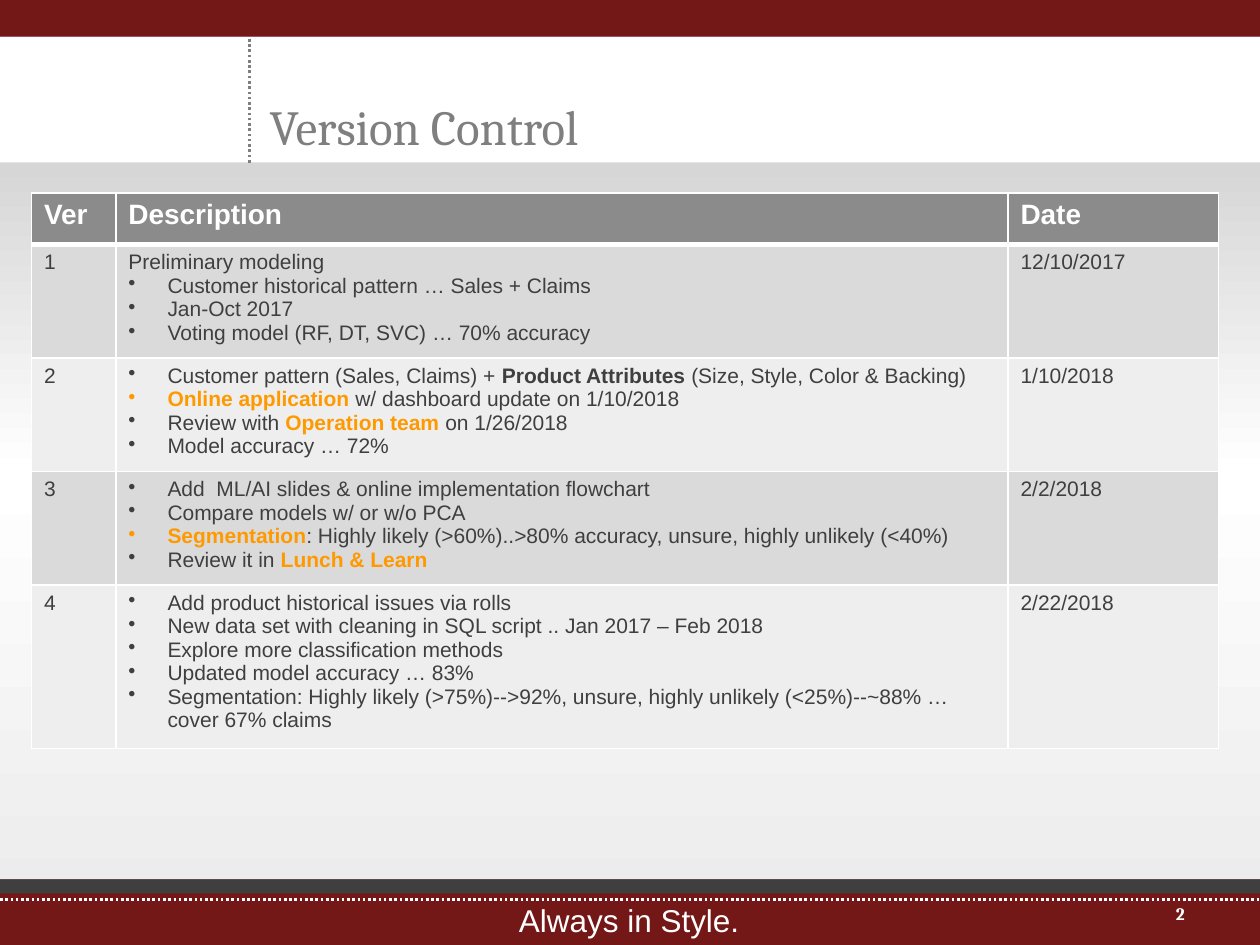
from collections import namedtuple
from copy import deepcopy
from lxml import etree
from pptx import Presentation
from pptx import util as u
from pptx.dml.color import RGBColor
from pptx.enum import dml, shapes, text
from pptx.oxml import ns

Mark = namedtuple("Mark", "text color")


class Theme:
    red, dark, white, gray = "731717", "3F3F3F", "FFFFFF", "7F7F7F"
    accent, head = "FF9900", "8B8B8B"
    bands = "DADADA", "EEEEEE"
    back = (0, "BFBFBF"), (0.5, "FFFFFF"), (1, "EAEAEA")
    sans, serif = "Arial", "Cambria"
    title, motto, label, body, page = 28, 18, 16, 12, 10


def rgb(code):
    return RGBColor.from_string(code)


def node(parent, tag, **attrs):
    return etree.SubElement(parent, ns.qn(tag), **attrs)


class Deck:
    def __init__(self, theme):
        self.theme = theme
        self.show = Presentation()
        self.show.slide_width, self.show.slide_height = u.Inches(10), u.Inches(7.5)
        self.slide = self.show.slides.add_slide(self.show.slide_layouts[6])

    def back(self):
        fill = self.slide.background.fill
        fill.gradient()
        fill.gradient_angle = 270
        first = fill.gradient_stops[0]._gs
        first.addnext(deepcopy(first))
        for stop, (pos, color) in zip(fill.gradient_stops, self.theme.back):
            stop.position = pos
            stop.color.rgb = rgb(color)

    def bar(self, top, high, color):
        box = self.slide.shapes.add_shape(
            shapes.MSO_SHAPE.RECTANGLE, 0, u.Inches(top), u.Inches(10), u.Inches(high))
        box.shadow.inherit = False
        box.fill.solid()
        box.fill.fore_color.rgb = rgb(color)
        box.line.fill.background()

    def dots(self, x1, y1, x2, y2, color):
        line = self.slide.shapes.add_connector(
            shapes.MSO_CONNECTOR.STRAIGHT, *map(u.Inches, (x1, y1, x2, y2)))
        line.line.color.rgb = rgb(color)
        line.line.width = u.Pt(1.5)
        line.line.dash_style = dml.MSO_LINE.ROUND_DOT
        node(line._element.spPr, "a:effectLst")

    def font(self, para, name, size, color, bold=False):
        font = para.font
        font.name, font.size, font.bold = name, u.Pt(size), bold
        font.color.rgb = rgb(color)

    def label(self, at, words, name, size, color, bold=False, wrap=True):
        frame = self.slide.shapes.add_textbox(*map(u.Inches, at)).text_frame
        frame.word_wrap = wrap
        para = frame.paragraphs[0]
        para.text = words
        self.font(para, name, size, color, bold)
        return frame

    def edge(self, cell, top, bottom):
        props = cell._tc.get_or_add_tcPr()
        for side, width in zip("LRTB", (1, 1, top, bottom)):
            line = node(props, "a:ln" + side, w=str(u.Pt(width)))
            node(node(line, "a:solidFill"), "a:srgbClr", val=self.theme.white)

    def bullet(self, para):
        props = para._p.get_or_add_pPr()
        props.set("marL", str(u.Inches(0.31)))
        props.set("indent", str(u.Inches(-0.31)))
        node(props, "a:buChar", char="•")

    def lines(self, cell, lines, size, color, bold):
        frame = cell.text_frame
        for i, line in enumerate(lines):
            para = frame.add_paragraph() if i else frame.paragraphs[0]
            listed = isinstance(line, tuple)
            if listed:
                self.bullet(para)
            self.font(para, self.theme.sans, size, color, bold)
            for part in line if listed else (line,):
                run = para.add_run()
                if isinstance(part, Mark):
                    run.text = part.text
                    run.font.bold = True
                    run.font.color.rgb = rgb(part.color)
                else:
                    run.text = part

    def table(self, left, top, wide, high, rows):
        t = self.theme
        grid = self.slide.shapes.add_table(
            len(rows), len(wide), u.Inches(left), u.Inches(top),
            u.Inches(sum(wide)), u.Inches(sum(high))).table
        for col, size in zip(grid.columns, wide):
            col.width = u.Inches(size)
        for r, row in enumerate(rows):
            grid.rows[r].height = u.Inches(high[r])
            for c, lines in enumerate(row):
                cell = grid.cell(r, c)
                self.edge(cell, 3 if r == 1 else 1, 1 if r else 3)
                cell.fill.solid()
                if r:
                    cell.fill.fore_color.rgb = rgb(t.bands[(r - 1) % 2])
                    self.lines(cell, lines, t.body, t.dark, False)
                else:
                    cell.fill.fore_color.rgb = rgb(t.head)
                    self.lines(cell, lines, t.label, t.white, True)


def main():
    t = Theme
    deck = Deck(t)
    deck.back()
    deck.bar(6.98, 0.52, t.red)
    deck.dots(0, 7.14, 10, 7.14, t.white)
    deck.bar(6.98, 0.11, t.dark)
    deck.bar(0.29, 1, t.white)
    deck.dots(1.98, 1.29, 1.98, 0.26, t.gray)
    deck.bar(0, 0.29, t.red)
    deck.label((4.02, 7.1, 1.97, 0.4), "Always in Style.", t.sans, t.motto, t.white, wrap=False)

    title = deck.label((2.14, 0.34, 7.38, 0.89), "Version Control", t.serif, t.title, t.gray)
    title.margin_left = title.margin_right = title.margin_top = title.margin_bottom = 0
    title.vertical_anchor = text.MSO_ANCHOR.BOTTOM
    title.paragraphs[0].line_spacing = u.Pt(26)

    page = deck.label((7.17, 7.12, 2.33, 0.32), "2", t.serif, t.page, t.white, True)
    page.paragraphs[0].alignment = text.PP_ALIGN.RIGHT

    logs = [
        ("12/10/2017", [
            "Preliminary modeling",
            ("Customer historical pattern … Sales + Claims",),
            ("Jan-Oct 2017",),
            ("Voting model (RF, DT, SVC) … 70% accuracy",)]),
        ("1/10/2018", [
            ("Customer pattern (Sales, Claims) + ", Mark("Product Attributes ", t.dark),
             "(Size, Style, Color & Backing)"),
            (Mark("Online application ", t.accent), "w/ dashboard update on 1/10/2018"),
            ("Review with ", Mark("Operation team ", t.accent), "on 1/26/2018"),
            ("Model accuracy … 72%",)]),
        ("2/2/2018", [
            ("Add  ML/AI slides & online implementation flowchart",),
            ("Compare models w/ or w/o PCA",),
            (Mark("Segmentation", t.accent),
             ": Highly likely (>60%)..>80% accuracy, unsure, highly unlikely (<40%)"),
            ("Review it in ", Mark("Lunch & Learn", t.accent))]),
        ("2/22/2018", [
            ("Add product historical issues via rolls",),
            ("New data set with cleaning in SQL script .. Jan 2017 – Feb 2018",),
            ("Explore more classification methods",),
            ("Updated model accuracy … 83%",),
            ("Segmentation: Highly likely (>75%)-->92%, unsure, highly unlikely (<25%)--~88% … "
             "cover 67% claims",)]),
    ]
    rows = [(["Ver"], ["Description"], ["Date"])]
    rows += [([str(n)], lines, [date]) for n, (date, lines) in enumerate(logs, 1)]
    deck.table(0.25, 1.53, (0.67, 7.08, 1.67), (0.41, 0.84, 0.84, 0.84, 1.22), rows)
    deck.show.save("out.pptx")


if __name__ == "__main__":
    main()
